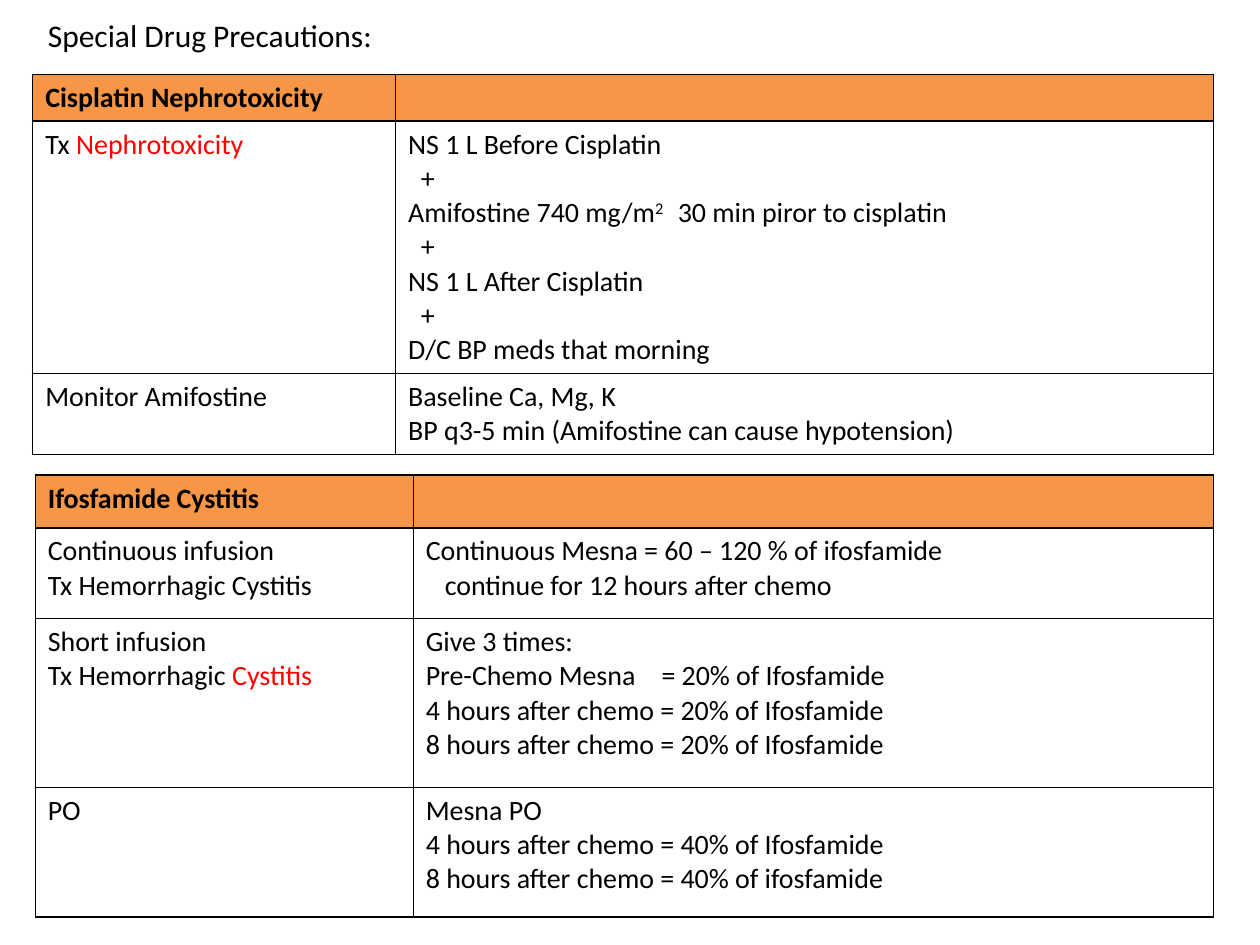
from dataclasses import dataclass
from typing import Any

from lxml import etree
from pptx import Presentation
from pptx import util as u
from pptx.dml.color import RGBColor
from pptx.enum import text
from pptx.oxml import ns

BLACK, RED, ORANGE = "000000", "FF0000", "F79646"


def rgb(value):
    return RGBColor.from_string(value)


def add_run(p, content, size=16, color=BLACK, bold=False, sup=False, font="Calibri"):
    r = p.add_run()
    r.text = content
    r.font.name = font
    r.font.size = u.Pt(size)
    r.font.bold = bold
    r.font.color.rgb = rgb(color)
    if sup:
        r.font._element.set("baseline", "30000")
    return r


def line(*runs, indent=0, tab=0):
    return {"runs": runs, "indent": indent, "tab": tab}


def red(content):
    return content, {"color": RED}


@dataclass
class Sheet:
    s: Any
    size: int = 16
    border: float = 1

    def title(self, content, left, top, width, height):
        sp = self.s.shapes.title
        sp.left, sp.top, sp.width, sp.height = map(u.Inches, (left, top, width, height))
        tf = sp.text_frame
        tf.word_wrap = False
        tf.vertical_anchor = text.MSO_ANCHOR.TOP
        p = tf.paragraphs[0]
        p.alignment = text.PP_ALIGN.LEFT
        add_run(p, content, size=18)

    def paragraph(self, p, item, bold):
        if isinstance(item, str):
            item = line(item)
        pPr = p._p.get_or_add_pPr()
        if item["indent"]:
            pPr.set("marL", str(u.Inches(item["indent"])))
        if item["tab"]:
            tabs = etree.SubElement(pPr, ns.qn("a:tabLst"))
            etree.SubElement(tabs, ns.qn("a:tab"), pos=str(u.Inches(item["tab"])), algn="l")
        for run in item["runs"]:
            content, fmt = (run, {}) if isinstance(run, str) else run
            add_run(p, content, **{"size": self.size, "bold": bold, **fmt})

    def borders(self, cell):
        tcPr = cell._tc.get_or_add_tcPr()
        for side in ("lnL", "lnR", "lnT", "lnB"):
            ln = etree.SubElement(tcPr, ns.qn(f"a:{side}"), w=str(u.Pt(self.border)))
            fill = etree.SubElement(ln, ns.qn("a:solidFill"))
            etree.SubElement(fill, ns.qn("a:srgbClr"), val=BLACK)

    def cell(self, cell, lines, header):
        self.borders(cell)
        if header:
            cell.fill.solid()
            cell.fill.fore_color.rgb = rgb(ORANGE)
        else:
            cell.fill.background()
        tf = cell.text_frame
        if not lines:
            end = tf.paragraphs[0]._p.get_or_add_endParaRPr()
            end.set("sz", str(self.size * 100))
        for i, item in enumerate(lines):
            p = tf.add_paragraph() if i else tf.paragraphs[0]
            self.paragraph(p, item, bold=header)

    def table(self, left, top, widths, heights, rows):
        box = map(u.Inches, (left, top, sum(widths), sum(heights)))
        table = self.s.shapes.add_table(len(heights), len(widths), *box).table
        for column, width in zip(table.columns, widths):
            column.width = u.Inches(width)
        for row, height in zip(table.rows, heights):
            row.height = u.Inches(height)
        for i, row in enumerate(rows):
            for j, lines in enumerate(row):
                self.cell(table.cell(i, j), lines, header=i == 0)


def main():
    prs = Presentation()
    prs.slide_width, prs.slide_height = u.Inches(10), u.Inches(7.5)
    sheet = Sheet(prs.slides.add_slide(prs.slide_layouts[5]))
    sheet.title("Special Drug Precautions:", 0.28, 0.08, 2.81, 0.4)

    plus = line("+", indent=0.1)
    cisplatin = [
        [["Cisplatin Nephrotoxicity"], []],
        [
            [line("Tx ", red("Nephrotoxicity"))],
            [
                "NS 1 L Before Cisplatin",
                plus,
                line("Amifostine 740 mg/m", ("2", {"sup": True}),
                     "\t30 min piror to cisplatin", tab=2.14),
                plus,
                "NS 1 L After Cisplatin",
                plus,
                "D/C BP meds that morning",
            ],
        ],
        [
            ["Monitor Amifostine"],
            ["Baseline Ca, Mg, K", "BP q3-5 min (Amifostine can cause hypotension)"],
        ],
    ]
    sheet.table(0.26, 0.59, [2.88, 6.49], [0.37, 2, 0.64], cisplatin)

    ifosfamide = [
        [["Ifosfamide Cystitis"], []],
        [
            ["Continuous infusion", "Tx Hemorrhagic Cystitis"],
            [
                "Continuous Mesna = 60 – 120 % of ifosfamide",
                line("continue for 12 hours after chemo", indent=0.15),
            ],
        ],
        [
            ["Short infusion", line("Tx Hemorrhagic ", red("Cystitis"))],
            [
                "Give 3 times:",
                line("Pre-Chemo Mesna\t= 20% of Ifosfamide", tab=1.87),
                "4 hours after chemo = 20% of Ifosfamide",
                "8 hours after chemo = 20% of Ifosfamide",
            ],
        ],
        [
            ["PO"],
            [
                "Mesna PO",
                "4 hours after chemo = 40% of Ifosfamide",
                "8 hours after chemo = 40% of ifosfamide",
            ],
        ],
    ]
    sheet.table(0.28, 3.77, [3, 6.35], [0.42, 0.72, 1.34, 1.03], ifosfamide)
    prs.save("out.pptx")


if __name__ == "__main__":
    main()
